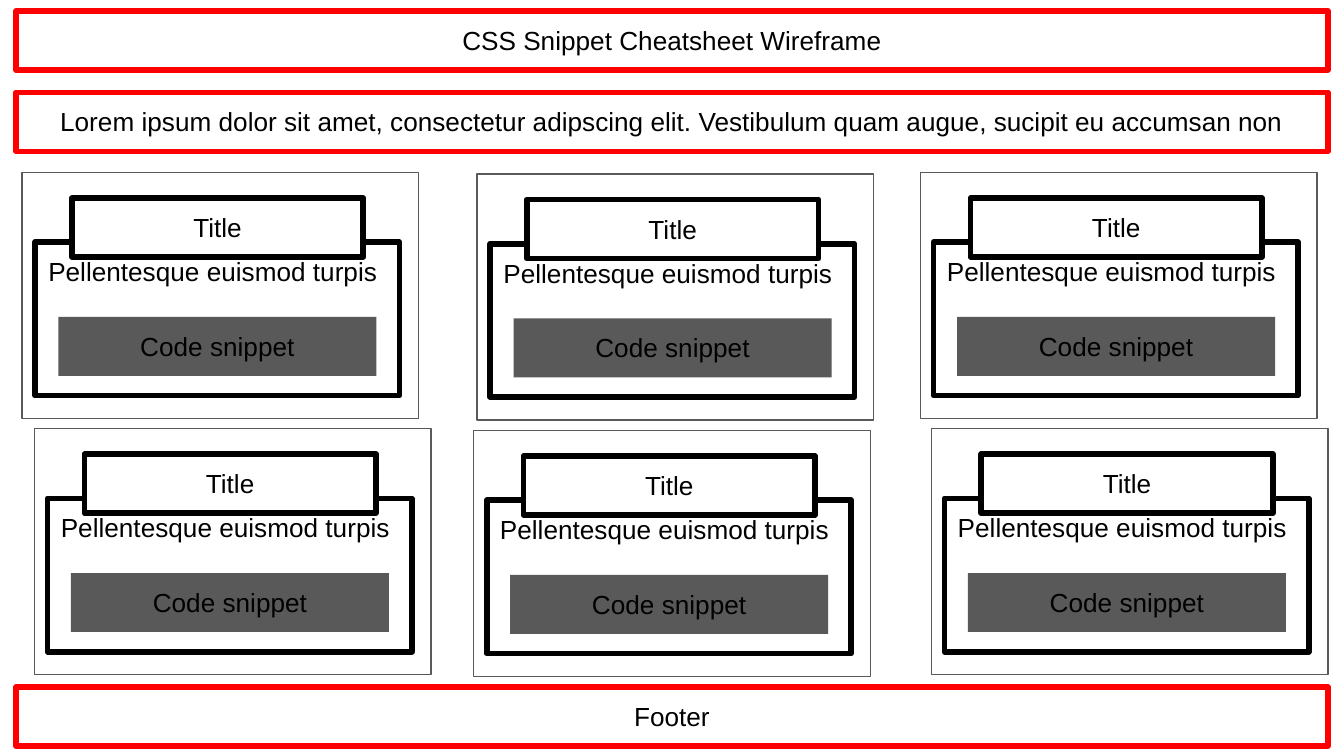
from lxml import etree
from pptx import Presentation
from pptx.dml.color import RGBColor
from pptx.enum.shapes import MSO_SHAPE
from pptx.enum.text import MSO_ANCHOR, PP_ALIGN
from pptx.oxml.ns import qn
from pptx.util import Pt

RECT = MSO_SHAPE.RECTANGLE
LEFT, MID = PP_ALIGN.LEFT, PP_ALIGN.CENTER
TOP = MSO_ANCHOR.TOP

BLACK, WHITE, RED, GRAY = "000000", "FFFFFF", "FF0000", "595959"
BAR_H = 31.6
CARD_W, CARD_H = 212.4, 131.8

# Top left corner of each card
CARDS = [
    (11.8, 92.4), (255.6, 93.2), (493.2, 92.4),
    (18.5, 229.6), (253.8, 230.6), (499, 229.6),
]
BANDS = [
    (5.8, "CSS Snippet Cheatsheet Wireframe"),
    (49.5, "Lorem ipsum dolor sit amet, consectetur adipscing elit. "
           "Vestibulum quam augue, sucipit eu accumsan non"),
    (368, "Footer"),
]


def color(code):
    return RGBColor.from_string(code)


def add_text(shape, text, align):
    frame = shape.text_frame
    frame.word_wrap = True
    frame.vertical_anchor = TOP
    frame.margin_left = frame.margin_right = Pt(7.2)
    frame.margin_top = frame.margin_bottom = Pt(7.2)
    para = frame.paragraphs[0]
    para.alignment = align
    run = para.add_run()
    run.text = text
    run.font.name = "Arial"
    run.font.size = Pt(14)
    run.font.color.rgb = color(BLACK)


def add_box(shapes, box, text="", fill=None, line=None, width=3, align=MID):
    shape = shapes.add_shape(RECT, *[Pt(n) for n in box])
    shape.shadow.inherit = False
    if fill:
        shape.fill.solid()
        shape.fill.fore_color.rgb = color(fill)
    else:
        shape.fill.background()
    if line:
        shape.line.color.rgb = color(line)
        shape.line.width = Pt(width)
        # Rounded line corners
        etree.SubElement(shape.line._get_or_add_ln(), qn("a:round"))
    else:
        shape.line.fill.background()
    if text:
        add_text(shape, text, align)


def add_band(slide, x, y, w, h, text):
    add_box(slide.shapes, (x, y, w, h), text, line=RED)


def add_card(slide, x, y, w, h):
    parts = slide.shapes.add_group_shape().shapes
    # Description panel
    add_box(parts, (x + 7, y + 37.4, w - 17.2, 82.2),
            "Pellentesque euismod turpis", line=BLACK, align=LEFT)
    # Title tab over the panel's top edge
    add_box(parts, (x + 26.7, y + 13.7, 156.2, BAR_H),
            "Title", fill=WHITE, line=BLACK)
    # Code bar
    add_box(parts, (x + 19.5, y + 77.4, 170.4, BAR_H),
            "Code snippet", fill=GRAY)
    # Thin outer frame
    add_box(parts, (x, y, w, h), line=GRAY, width=0.75)


def main():
    deck = Presentation()
    deck.slide_width, deck.slide_height = Pt(720), Pt(405)
    slide = deck.slides.add_slide(deck.slide_layouts[6])

    # Header, intro and footer
    for y, text in BANDS:
        add_band(slide, 8.6, y, 702.8, BAR_H, text)

    # Snippet cards
    for x, y in CARDS:
        add_card(slide, x, y, CARD_W, CARD_H)

    deck.save("out.pptx")


if __name__ == "__main__":
    main()
